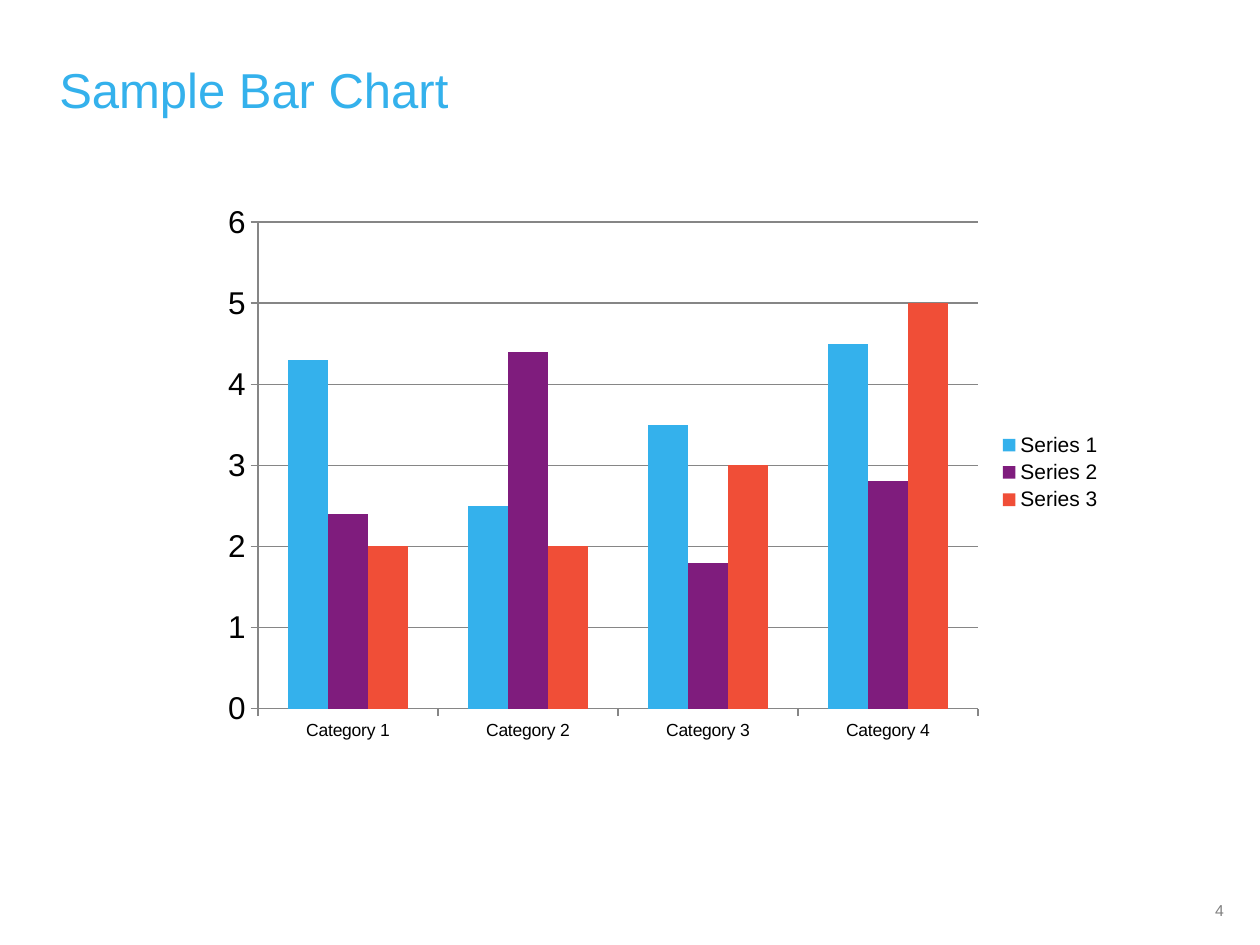
"""Builds a slide with a title, a clustered column chart and a page number."""
from dataclasses import dataclass

from pptx import Presentation
from pptx.chart.data import CategoryChartData
from pptx.dml.color import RGBColor
from pptx.enum.chart import XL_CHART_TYPE, XL_LEGEND_POSITION, XL_TICK_MARK
from pptx.enum.text import MSO_ANCHOR, PP_ALIGN
from pptx.util import Emu, Pt


@dataclass(frozen=True)
class Theme:
    font: str = "Arial"
    blue: str = "34B1EC"
    purple: str = "7F1C7D"
    red: str = "F04E37"
    black: str = "000000"
    grey: str = "808080"
    line: str = "868686"
    title: int = 28
    values: int = 18
    legend: int = 12
    categories: int = 10
    number: int = 9


THEME = Theme()
PIXEL = 914400 // 126


def place(*pixels):
    return [Emu(value * PIXEL) for value in pixels]


def add_text(page, text, *, at, size, color, align=PP_ALIGN.LEFT,
             anchor=MSO_ANCHOR.TOP, spacing=1.0):
    box = page.shapes.add_textbox(*place(*at))
    frame = box.text_frame
    frame.word_wrap = True
    frame.vertical_anchor = anchor
    para = frame.paragraphs[0]
    para.alignment = align
    para.line_spacing = spacing
    span = para.add_run()
    span.text = text
    span.font.name = THEME.font
    span.font.size = Pt(size)
    span.font.color.rgb = RGBColor.from_string(color)


deck = Presentation()
deck.slide_width, deck.slide_height = place(1260, 945)
page = deck.slides.add_slide(deck.slide_layouts[6])

series_rows = [
    ("Series 1", (4.3, 2.5, 3.5, 4.5), THEME.blue),
    ("Series 2", (2.4, 4.4, 1.8, 2.8), THEME.purple),
    ("Series 3", (2, 2, 3, 5), THEME.red),
]
data = CategoryChartData()
data.categories = [f"Category {number}" for number in range(1, 5)]
for name, values, color in series_rows:
    data.add_series(name, values)

chart = page.shapes.add_chart(
    XL_CHART_TYPE.COLUMN_CLUSTERED, *place(210, 193, 905, 559), data).chart
chart.has_title = False
chart.font.name = THEME.font
chart.font.size = Pt(THEME.values)
chart.font.color.rgb = RGBColor.from_string(THEME.black)

plot = chart.plots[0]
plot.gap_width = 150
plot.overlap = 0
plot.vary_by_categories = False
for series, (name, values, color) in zip(plot.series, series_rows):
    series.format.fill.solid()
    series.format.fill.fore_color.rgb = RGBColor.from_string(color)

value_axis, category_axis = chart.value_axis, chart.category_axis
value_axis.minimum_scale, value_axis.maximum_scale = 0, 6
value_axis.major_unit = 1
value_axis.has_major_gridlines = True
category_axis.tick_labels.font.size = Pt(THEME.categories)
for axis in (value_axis, category_axis):
    axis.major_tick_mark = XL_TICK_MARK.OUTSIDE
for ruled in (value_axis, category_axis, value_axis.major_gridlines):
    ruled.format.line.color.rgb = RGBColor.from_string(THEME.line)
    ruled.format.line.width = Pt(0.75)

chart.has_legend = True
chart.legend.position = XL_LEGEND_POSITION.RIGHT
chart.legend.include_in_layout = False
chart.legend.font.size = Pt(THEME.legend)

add_text(page, "Sample Bar Chart", at=(47, 49, 1053, 86), size=THEME.title,
         color=THEME.blue, anchor=MSO_ANCHOR.MIDDLE, spacing=0.95)
add_text(page, "4", at=(1186, 895, 67, 43), size=THEME.number,
         color=THEME.grey, align=PP_ALIGN.CENTER)

deck.save("out.pptx")
